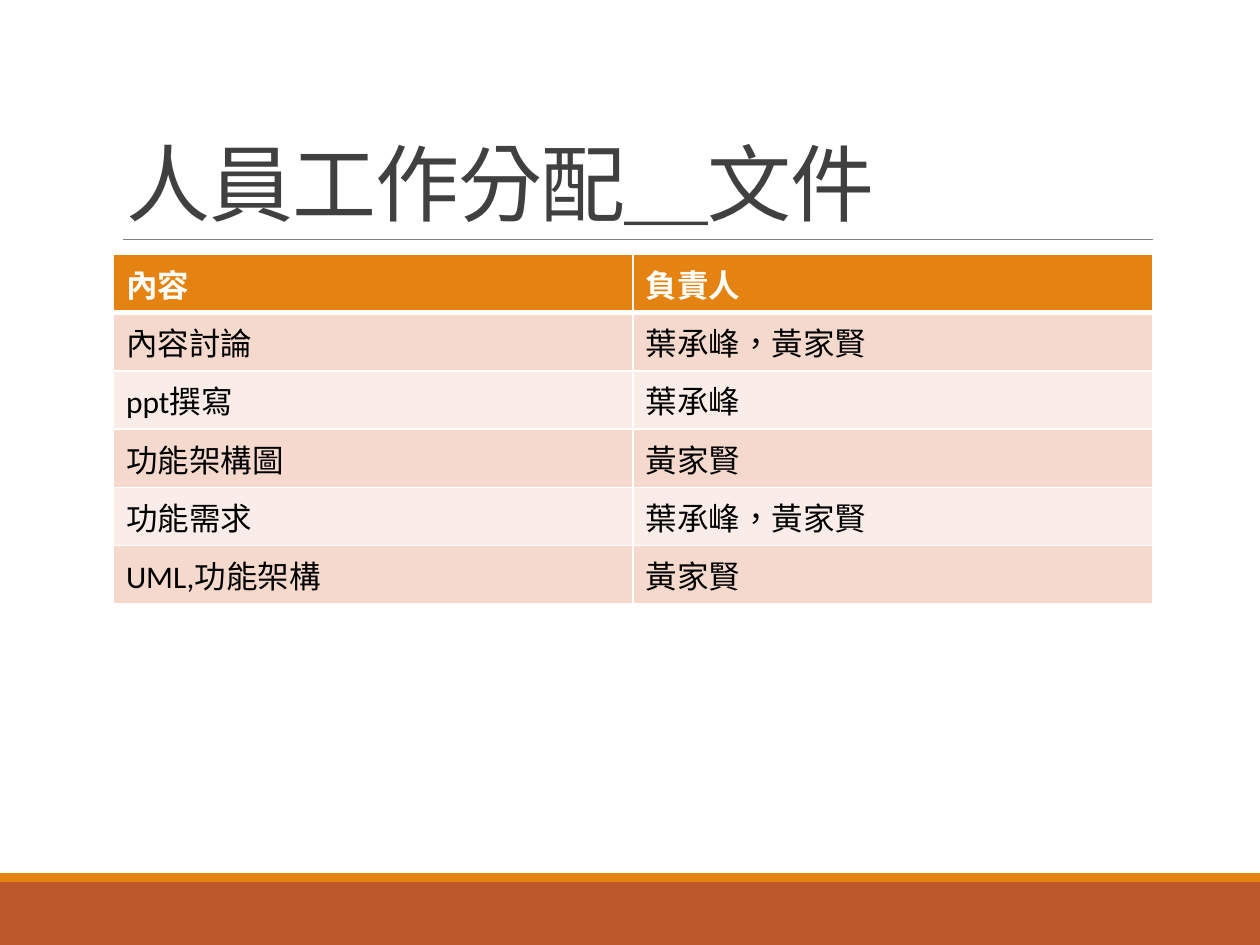
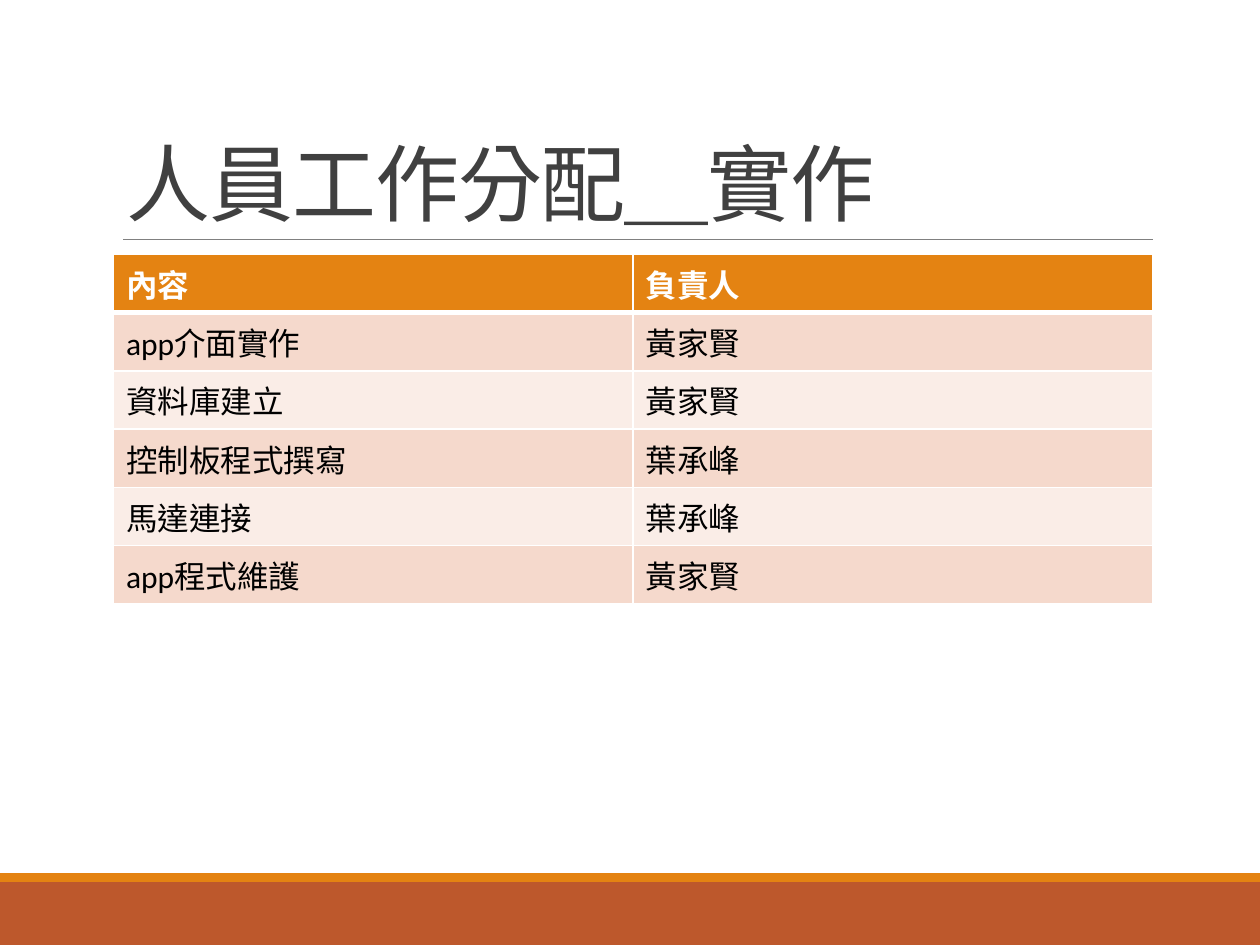
from lxml import etree
from pptx import Presentation
from pptx.dml.color import RGBColor
from pptx.enum.shapes import MSO_CONNECTOR, MSO_SHAPE
from pptx.enum.text import MSO_ANCHOR, MSO_AUTO_SIZE, PP_ALIGN
from pptx.oxml.ns import qn
from pptx.util import Inches, Pt

COLORS = {
    "band": "BD582C",
    "accent": "E48312",
    "rule": "808080",
    "title": "404040",
    "text": "000000",
    "white": "FFFFFF",
    "row_dark": "F5D9CC",
    "row_light": "FAEDE7",
}
FONT = "Calibri"
TITLE_BOX = (0.9, 0.31, 8.25, 1.59)
TABLE_BOX = (0.9, 2.02, 8.25, 2.46)
FOOTER_BOX = (0, 6.93, 10, 0.57)
HEADER = ("內容", "負責人")

SLIDES = [
    ("人員工作分配＿文件", [
        ("內容討論", "葉承峰，黃家賢"),
        ("ppt撰寫", "葉承峰"),
        ("功能架構圖", "黃家賢"),
        ("功能需求", "葉承峰，黃家賢"),
        ("UML,功能架構", "黃家賢"),
    ]),
    ("人員工作分配＿實作", [
        ("app介面實作", "黃家賢"),
        ("資料庫建立", "黃家賢"),
        ("控制板程式撰寫", "葉承峰"),
        ("馬達連接", "葉承峰"),
        ("app程式維護", "黃家賢"),
    ]),
]


def rgb(name):
    return RGBColor.from_string(COLORS[name])


def add_run(p, text, size, color, bold=False):
    r = p.add_run()
    r.text = text
    r.font.name = FONT
    r.font.size = Pt(size)
    r.font.bold = bold
    r.font.color.rgb = rgb(color)
    r.font._element.set("lang", "zh-TW")
    return r


def add_band(slide, x, y, w, h, color):
    sp = slide.shapes.add_shape(
        MSO_SHAPE.RECTANGLE, Inches(x), Inches(y), Inches(w), Inches(h))
    sp.shadow.inherit = False
    sp.fill.solid()
    sp.fill.fore_color.rgb = rgb(color)
    sp.line.fill.background()


def add_footer(slide, box):
    x, y, w, h = box
    stripe = 0.07
    add_band(slide, x, y + stripe, w, h - stripe, "band")
    add_band(slide, x, y, w, stripe, "accent")


def add_title(slide, box, text):
    x, y, w, h = box
    sp = slide.shapes.title
    sp.left, sp.top, sp.width, sp.height = map(Inches, box)
    tf = sp.text_frame
    tf.word_wrap = True
    tf.auto_size = MSO_AUTO_SIZE.NONE
    tf.vertical_anchor = MSO_ANCHOR.BOTTOM
    p = tf.paragraphs[0]
    p.alignment = PP_ALIGN.LEFT
    p.line_spacing = 0.85
    r = add_run(p, text, 48, "title")
    r.font._element.set("spc", "-50")

    # Rule along the bottom edge of the title
    rule = slide.shapes.add_connector(
        MSO_CONNECTOR.STRAIGHT,
        Inches(x + 0.08), Inches(y + h), Inches(x + w), Inches(y + h))
    rule.line.color.rgb = rgb("rule")
    rule.line.width = Pt(0.5)
    etree.SubElement(rule._element.spPr, qn("a:effectLst"))


def set_borders(cell, top=1, bottom=1):
    tc_pr = cell._tc.get_or_add_tcPr()
    for side, width in zip("LRTB", (1, 1, top, bottom)):
        ln = etree.SubElement(tc_pr, qn(f"a:ln{side}"), w=str(Pt(width)))
        fill = etree.SubElement(ln, qn("a:solidFill"))
        etree.SubElement(fill, qn("a:srgbClr"), val=COLORS["white"])


def add_task_table(slide, box, tasks):
    rows = [HEADER, *tasks]
    x, y, w, h = box
    table = slide.shapes.add_table(
        len(rows), len(HEADER), *map(Inches, box)).table
    for col in table.columns:
        col.width = Inches(w / len(HEADER))
    for i, row in enumerate(rows):
        table.rows[i].height = Inches(h / len(rows))
        is_header = i == 0
        fill = "accent" if is_header else "row_dark" if i % 2 else "row_light"
        for j, text in enumerate(row):
            cell = table.cell(i, j)
            # The heavy line below the header is shared with the first task
            set_borders(cell, top=3 if i == 1 else 1,
                        bottom=3 if is_header else 1)
            cell.fill.solid()
            cell.fill.fore_color.rgb = rgb(fill)
            add_run(cell.text_frame.paragraphs[0], text, 18,
                    "white" if is_header else "text", is_header)


def add_assignment_slide(prs, title, tasks):
    slide = prs.slides.add_slide(prs.slide_layouts.get_by_name("Title Only"))
    add_footer(slide, FOOTER_BOX)
    add_title(slide, TITLE_BOX, title)
    add_task_table(slide, TABLE_BOX, tasks)


def main():
    prs = Presentation()
    prs.slide_width, prs.slide_height = Inches(10), Inches(7.5)
    for title, tasks in SLIDES:
        add_assignment_slide(prs, title, tasks)
    prs.save("out.pptx")


if __name__ == "__main__":
    main()
